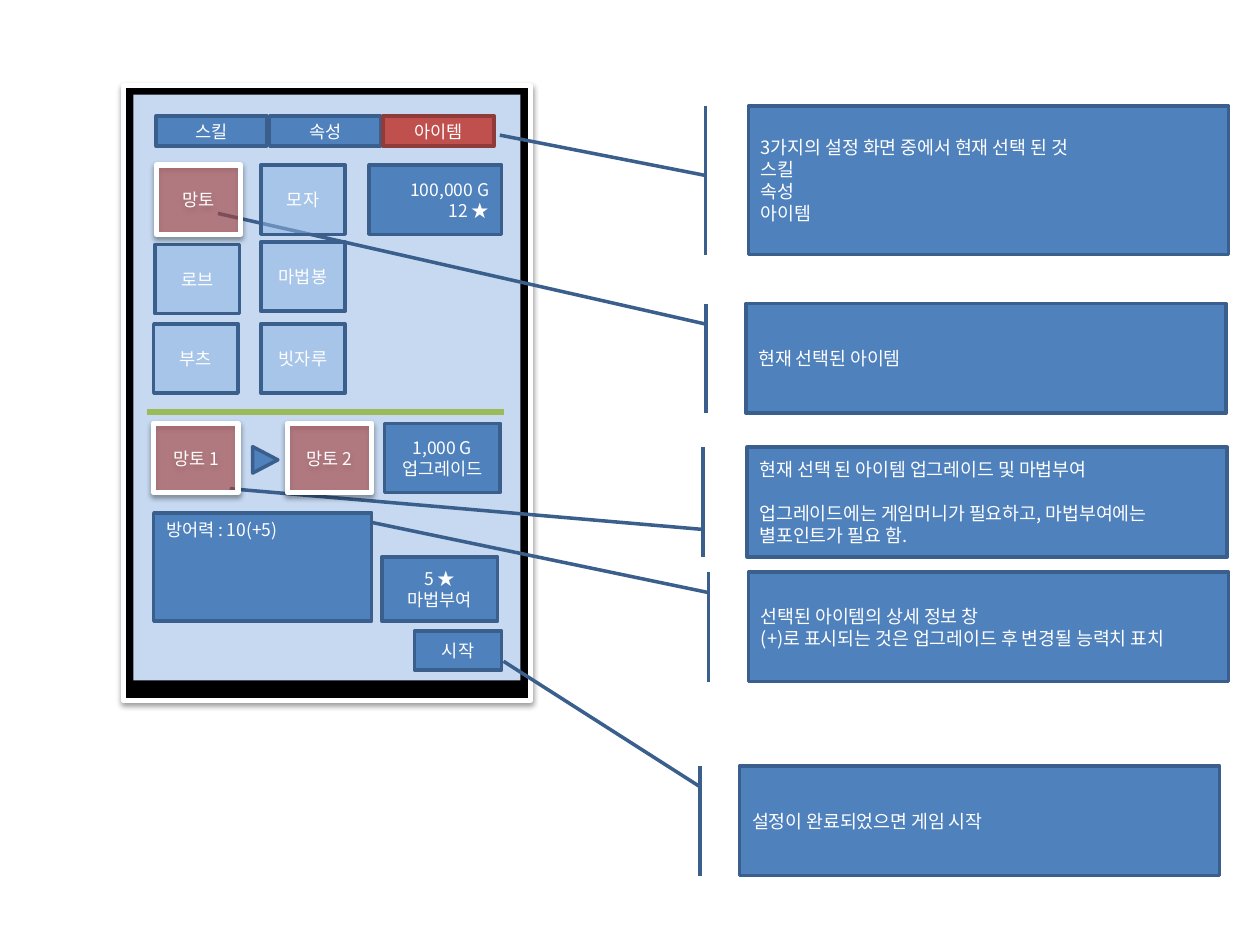
"""Build the item settings screen of a game with callouts explaining its parts."""
from lxml.etree import SubElement
from pptx import Presentation
from pptx.dml.color import RGBColor
from pptx.enum.shapes import MSO_CONNECTOR, MSO_SHAPE
from pptx.enum.text import MSO_ANCHOR, PP_ALIGN
from pptx.oxml.ns import qn
from pptx.util import Inches, Pt

FONT = "Noto Sans CJK KR"
WHITE = RGBColor(0xFF, 0xFF, 0xFF)
BLACK = RGBColor(0x00, 0x00, 0x00)
SCREEN = RGBColor(0xC6, 0xD9, 0xF1)
BLUE = RGBColor(0x4F, 0x81, 0xBD)
NAVY = RGBColor(0x3A, 0x5F, 0x8C)
PALE = RGBColor(0x8E, 0xB4, 0xE3)
RED = RGBColor(0xC0, 0x50, 0x4D)
DARK_RED = RGBColor(0x8E, 0x3B, 0x39)
GREEN = RGBColor(0x9B, 0xBB, 0x59)

prs = Presentation()
prs.slide_width, prs.slide_height = Inches(10), Inches(7.5)
slide = prs.slides.add_slide(prs.slide_layouts[6])


def add_box(x, y, w, h, fill=BLUE, line=NAVY, kind=MSO_SHAPE.RECTANGLE, alpha=None):
    s = slide.shapes.add_shape(kind, Inches(x), Inches(y), Inches(w), Inches(h))
    s.fill.solid()
    s.fill.fore_color.rgb = fill
    if alpha:
        clr = s.element.spPr.find(qn("a:solidFill"))[0]
        SubElement(clr, qn("a:alpha"), val=str(alpha * 1000))
    if line is None:
        s.line.fill.background()
    else:
        s.line.color.rgb = line
        s.line.width = Pt(3 if line == WHITE else 2)
    s.shadow.inherit = False
    if line == WHITE:
        effects = s.element.spPr.find(qn("a:effectLst"))
        shadow = SubElement(effects, qn("a:outerShdw"), blurRad=str(Pt(3.1)),
                            dist=str(Pt(1.6)), dir="5400000", rotWithShape="0")
        clr = SubElement(shadow, qn("a:srgbClr"), val=str(BLACK))
        SubElement(clr, qn("a:alpha"), val="38000")
    return s


def add_text(s, text, size=10, align=PP_ALIGN.CENTER, anchor=MSO_ANCHOR.MIDDLE):
    tf = s.text_frame
    tf.word_wrap = True
    tf.vertical_anchor = anchor
    tf.text = text
    for p in tf.paragraphs:
        p.alignment = align
        for r in p.runs:
            r.font.name = FONT
            r.font.size = Pt(size)
            r.font.color.rgb = WHITE
            SubElement(r.font._element, qn("a:ea"), typeface=FONT)
    return tf


add_box(0.98, 0.68, 3.23, 4.88, BLACK, WHITE)
add_box(1.06, 0.75, 3.07, 4.65, SCREEN, None)

callouts = [
    (5.92, 2.41, 0.87, (0.188, -0.083, -0.823, -1.1), "현재 선택된 아이템"),
    (5.87, 6.08, 0.87, (0.188, -0.083, -0.956, -0.492), "설정이 완료되었으면 게임 시작"),
    (5.93, 3.55, 0.87, (0.75, -0.092, 0.378, -1.078),
     "현재 선택 된 아이템 업그레이드 및 마법부여\n"
     "업그레이드에는 게임머니가 필요하고, 마법부여에는 별포인트가 필요 함."),
    (5.94, 4.54, 0.87, (0.188, -0.083, -0.451, -0.783),
     "선택된 아이템의 상세 정보 창\n(+)로 표시되는 것은 업그레이드 후 변경될 능력치 표치"),
    (5.94, 0.84, 1.18, (0.468, -0.09, 0.197, -0.518),
     "3가지의 설정 화면 중에서 현재 선택 된 것\n스킬\n속성\n아이템"),
]
for x, y, h, adjustments, text in callouts:
    s = add_box(x, y, 3.81, h, kind=MSO_SHAPE.LINE_CALLOUT_1_BORDER_AND_ACCENT_BAR)
    for i, value in enumerate(adjustments):
        s.adjustments[i] = value
    tf = add_text(s, text, 10.5, PP_ALIGN.LEFT)
    if "업그레이드에는" in text:
        tf.paragraphs[1].space_before = Pt(12.6)

for i, tab in enumerate(["스킬", "속성", "아이템"]):
    fill, line = (RED, DARK_RED) if tab == "아이템" else (BLUE, NAVY)
    add_text(add_box(1.24 + 0.9 * i, 0.92, 0.88, 0.24, fill, line), tab)

items = [
    (2.07, 1.31, "모자"), (2.07, 1.92, "마법봉"), (2.07, 2.57, "빗자루"),
    (1.23, 1.94, "로브"), (1.22, 2.57, "부츠"),
]
for x, y, text in items:
    add_text(add_box(x, y, 0.67, 0.55, PALE, alpha=55), text)

for x, y, text in [(1.24, 1.31, "망토"), (1.22, 3.36, "망토 1"), (2.28, 3.36, "망토 2")]:
    add_text(add_box(x, y, 0.67, 0.55, RED, WHITE, alpha=55), text)

s = add_box(2, 3.55, 0.21, 0.2, kind=MSO_SHAPE.ISOSCELES_TRIANGLE)
s.rotation = 90

add_text(add_box(2.93, 1.31, 1.05, 0.55), "100,000 G\n12 ★", align=PP_ALIGN.RIGHT)
add_text(add_box(1.22, 4.07, 1.73, 0.86), "방어력 : 10(+5)",
         align=PP_ALIGN.LEFT, anchor=MSO_ANCHOR.TOP)

buttons = [
    (3.29, 5.01, 0.69, 0.31, "시작"),
    (3.05, 3.36, 0.92, 0.55, "1,000 G\n업그레이드"),
    (3.03, 4.42, 0.92, 0.51, "5 ★\n마법부여"),
]
for x, y, w, h, text in buttons:
    add_text(add_box(x, y, w, h), text)

divider = slide.shapes.add_connector(
    MSO_CONNECTOR.STRAIGHT, Inches(1.17), Inches(3.27), Inches(4), Inches(3.27))
divider.line.color.rgb = GREEN
divider.line.width = Pt(3)
SubElement(divider.element.spPr, qn("a:effectLst"))

prs.save("out.pptx")
